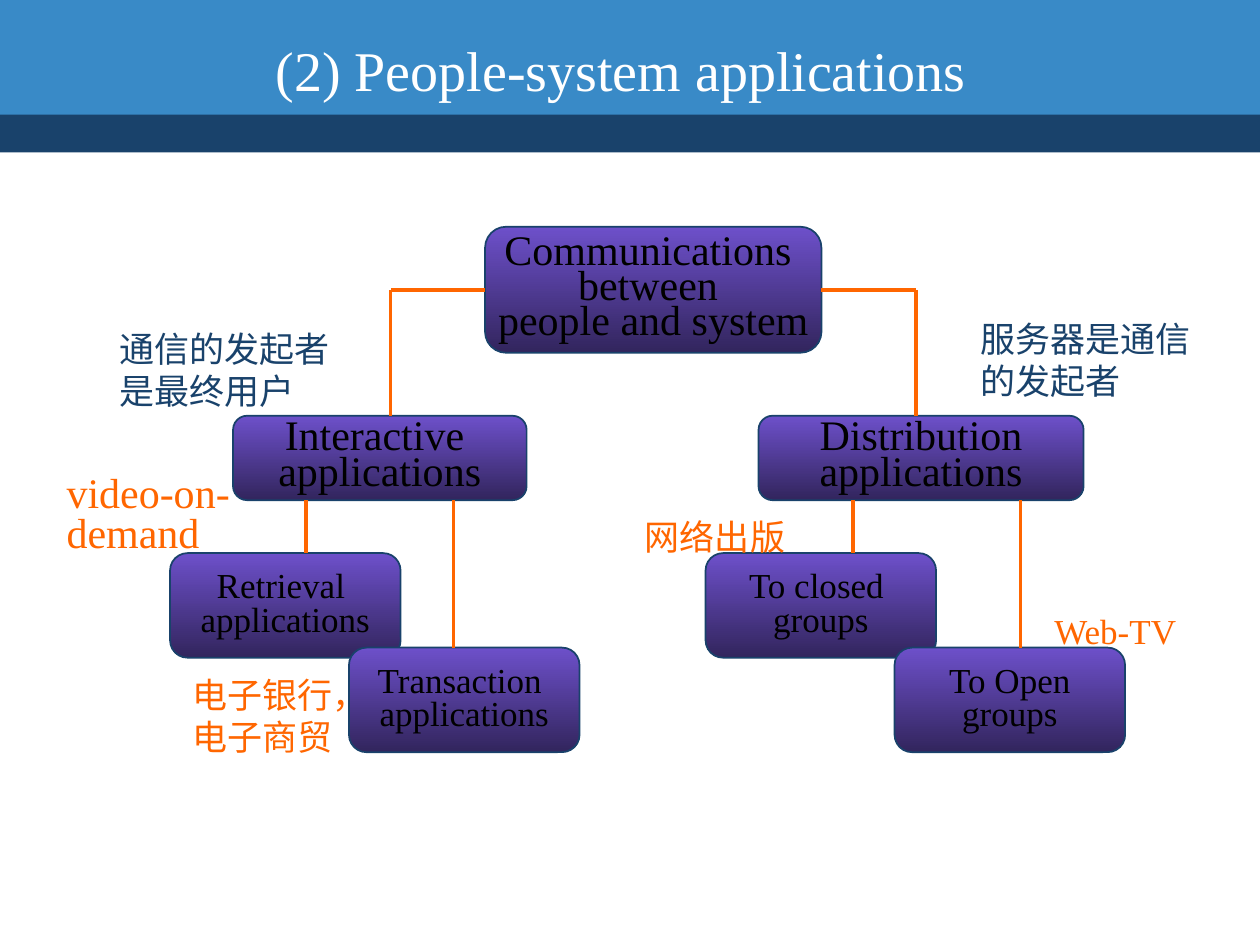
from pptx import Presentation
from pptx.dml.color import RGBColor
from pptx.enum import shapes, text
from pptx.oxml.ns import qn
from pptx.util import Inches, Pt

FONT = "Times New Roman"
COLORS = {
    "navy": "19426B",
    "blue": "398AC7",
    "violet": "6D50CA",
    "dusk": "32255D",
    "orange": "FF6600",
    "black": "000000",
    "white": "FFFFFF",
}

ROOT_Y, ROOT_LEFT, ROOT_WIDTH = 2.3, 3.85, 2.67
MID_TOP, MID_HEIGHT = 3.3, 0.67
MID_END = MID_TOP + MID_HEIGHT
LEAF_TOPS = (4.39, 5.14)
LEAF_SIZE = (1.83, 0.83)

# name, left, width, stem x, then leaves as (name, left, stem x)
BRANCHES = [
    ("Interactive \napplications", 1.85, 2.33, 3.1,
     [("Retrieval \napplications", 1.35, 2.43),
      ("Transaction \napplications", 2.77, 3.6)]),
    ("Distribution\napplications", 6.02, 2.58, 7.27,
     [("To closed \ngroups", 5.6, 6.77),
      ("To Open\ngroups", 7.1, 8.1)]),
]

# words, (left, top, width, height), color, size, line spacing
NOTES = [
    ("通信的发起者是最终用户", (0.85, 2.55, 1.92, 0.77), "navy", 20, 1.0),
    ("服务器是通信的发起者", (7.68, 2.47, 1.92, 0.77), "navy", 20, 1.0),
    ("电子银行，电子商贸", (1.43, 5.3, 1.5, 0.77), "orange", 20, 1.0),
    ("video-on-demand", (0.43, 3.73, 1.5, 0.74), "orange", 24, 0.8),
    ("Web-TV", (8.27, 4.79, 1.5, 0.44), "orange", 20, 1.0),
    ("网络出版", (5.02, 4.04, 1.5, 0.44), "orange", 20, 1.0),
]


def rgb(name):
    return RGBColor.from_string(COLORS[name])


def write(frame, words, size, color, align, space=1.0):
    frame.text = words
    for para in frame.paragraphs:
        para.alignment = align
        para.line_spacing = space
        for run in para.runs:
            run.font.name = FONT
            run.font.size = Pt(size)
            run.font.color.rgb = rgb(color)


def add_band(slide, top, height, color):
    """Put a full-width bar behind everything but earlier bars."""
    band = slide.shapes.add_shape(
        shapes.MSO_SHAPE.RECTANGLE, 0, Inches(top), Inches(10), Inches(height))
    band.shadow.inherit = False
    band.fill.solid()
    band.fill.fore_color.rgb = rgb(color)
    band.line.fill.background()


def add_title(slide, words):
    title = slide.shapes.title
    title.left, title.top = Inches(0.43), Inches(-0.08)
    title.width, title.height = Inches(9), Inches(1.25)
    frame = title.text_frame
    frame.auto_size = text.MSO_AUTO_SIZE.NONE
    frame.vertical_anchor = text.MSO_ANCHOR.MIDDLE
    write(frame, words, 32, "white", text.PP_ALIGN.CENTER)
    tree = slide.shapes._spTree
    tree.remove(title._element)
    tree.append(title._element)


def add_node(slide, words, left, top, width, height, size, space):
    node = slide.shapes.add_shape(
        shapes.MSO_SHAPE.ROUNDED_RECTANGLE,
        *map(Inches, (left, top, width, height)))
    node.shadow.inherit = False
    node.fill.gradient()
    node.fill.gradient_angle = 270
    for stop, color in zip(node.fill.gradient_stops, ("violet", "dusk")):
        stop.color.rgb = rgb(color)
    for stop, place in zip(node.fill.gradient_stops, (0, 1)):
        stop.position = place
    node.line.color.rgb = rgb("navy")
    node.line.width = Pt(1)
    frame = node.text_frame
    frame.word_wrap = False
    frame.vertical_anchor = text.MSO_ANCHOR.MIDDLE
    write(frame, words, size, "black", text.PP_ALIGN.CENTER, space)


def add_line(slide, *ends):
    line = slide.shapes.add_connector(
        shapes.MSO_CONNECTOR.STRAIGHT, *map(Inches, ends))
    line.line.color.rgb = rgb("orange")
    line.line.width = Pt(2)
    props = line._element.spPr
    props.append(props.makeelement(qn("a:effectLst"), {}))


def add_note(slide, words, place, color, size, space):
    note = slide.shapes.add_textbox(*map(Inches, place))
    note.text_frame.word_wrap = True
    write(note.text_frame, words, size, color, text.PP_ALIGN.LEFT, space)


def add_tree(slide):
    add_node(slide, "Communications \nbetween \npeople and system",
             ROOT_LEFT, ROOT_Y - 0.5, ROOT_WIDTH, 1, 24, 0.7)
    lines = []
    sides = (ROOT_LEFT, ROOT_LEFT + ROOT_WIDTH)
    for (name, left, width, stem, leaves), side in zip(BRANCHES, sides):
        add_node(slide, name, left, MID_TOP, width, MID_HEIGHT, 24, 0.7)
        lines += [(side, ROOT_Y, stem, ROOT_Y), (stem, ROOT_Y, stem, MID_TOP)]
        for (leaf, start, drop), top in zip(leaves, LEAF_TOPS):
            add_node(slide, leaf, start, top, *LEAF_SIZE, 20, 0.8)
            lines.append((drop, MID_END, drop, top))
    for ends in lines:
        add_line(slide, *ends)


def main():
    deck = Presentation()
    deck.slide_width, deck.slide_height = Inches(10), Inches(7.5)
    slide = deck.slides.add_slide(deck.slide_layouts[5])
    add_band(slide, 0.87, 0.34, "navy")
    add_band(slide, 0, 0.91, "blue")
    add_title(slide, "(2) People-system applications")
    add_tree(slide)
    for note in NOTES:
        add_note(slide, *note)
    deck.save("out.pptx")


if __name__ == "__main__":
    main()
